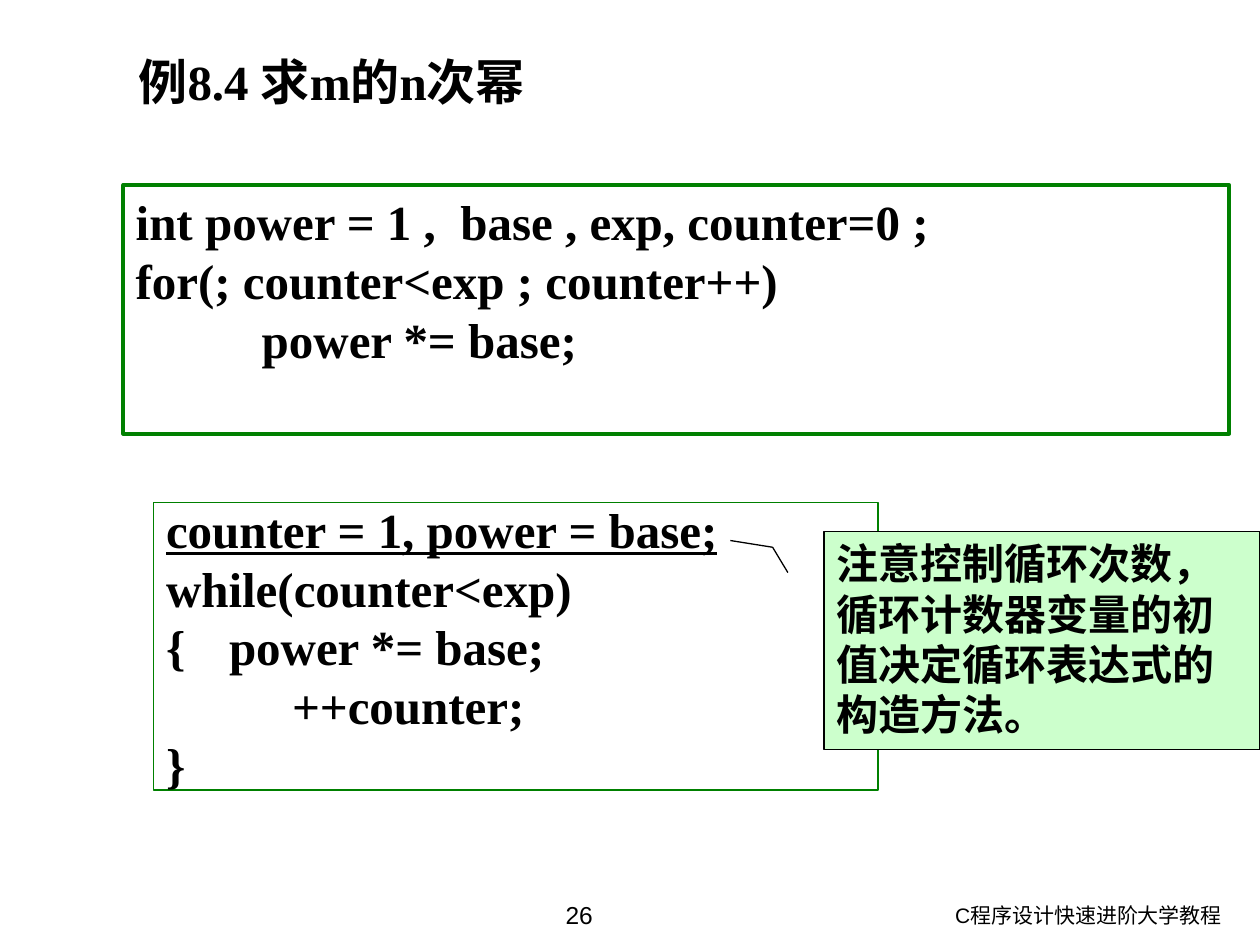
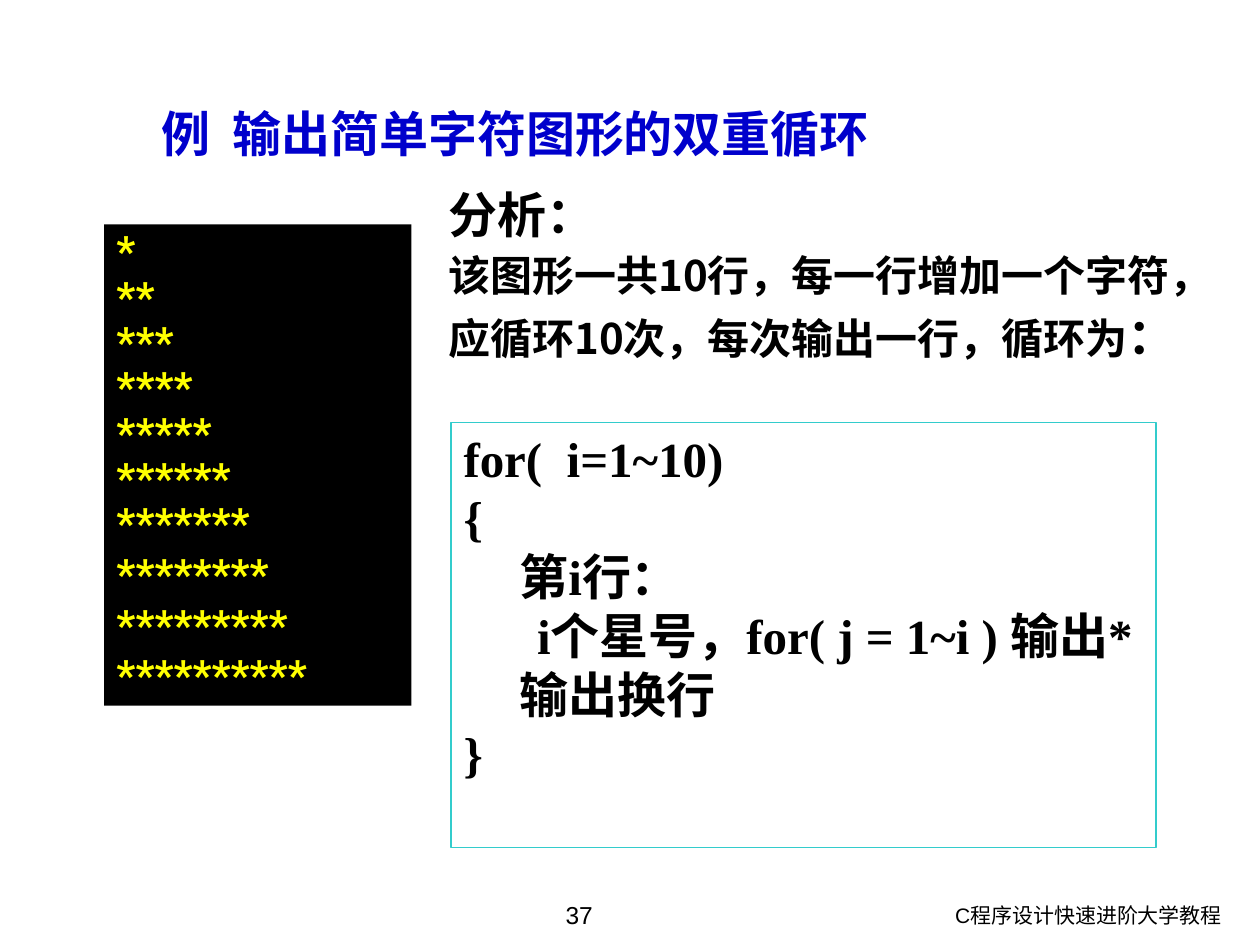
"""Build two lecture slides on loops in C."""
from dataclasses import dataclass

from pptx import Presentation
from pptx import util as u
from pptx.dml import color
from pptx.enum import lang, shapes, text


@dataclass(frozen=True)
class Theme:
    black: str = "000000"
    white: str = "FFFFFF"
    green: str = "008000"
    mint: str = "CCFFCC"
    cyan: str = "33CCCC"
    blue: str = "0000CC"
    yellow: str = "FFFF00"
    code: str = "Times New Roman"
    sans: str = "Arial"
    display: str = "Roboto"
    chinese: str = "Noto Sans CJK SC"
    large: int = 28
    medium: int = 24
    page: int = 14
    footer: int = 12


theme = Theme()
rectangle = shapes.MSO_SHAPE.RECTANGLE
callout = shapes.MSO_SHAPE.LINE_CALLOUT_2


def box(slide, left, top, width, height, kind=None, fill=None, line=None, weight=0.74):
    place = [u.Pt(length) for length in (left, top, width, height)]
    if kind is None:
        shape = slide.shapes.add_textbox(*place)
    else:
        shape = slide.shapes.add_shape(kind, *place)
        shape.shadow.inherit = False
        if fill:
            shape.fill.solid()
            shape.fill.fore_color.rgb = color.RGBColor.from_string(fill)
        else:
            shape.fill.background()
        if line:
            shape.line.color.rgb = color.RGBColor.from_string(line)
            shape.line.width = u.Pt(weight)
        else:
            shape.line.fill.background()
    shape.text_frame.word_wrap = True
    shape.text_frame.vertical_anchor = text.MSO_ANCHOR.TOP
    return shape


def write(frame, words, font=theme.code, size=theme.large, ink=theme.black, bold=True,
          underline=False, align=text.PP_ALIGN.LEFT, before=0, spacing=1.0,
          left=0, first=0, same_line=False):
    if same_line or not frame.text:
        paragraph = frame.paragraphs[-1]
    else:
        paragraph = frame.add_paragraph()
    paragraph.alignment = align
    paragraph.space_before = u.Pt(before)
    paragraph.line_spacing = spacing
    properties = paragraph._p.get_or_add_pPr()
    properties.set("marL", str(u.Pt(left)))
    properties.set("indent", str(u.Pt(first)))
    run = paragraph.add_run()
    run.text = words
    run.font.name = font
    run.font.size = u.Pt(size)
    run.font.bold = bold
    run.font.underline = underline
    run.font.language_id = lang.MSO_LANGUAGE_ID.SIMPLIFIED_CHINESE
    run.font.color.rgb = color.RGBColor.from_string(ink)


deck = Presentation()
deck.slide_width, deck.slide_height = u.Pt(720), u.Pt(540)

headings = [
    ("例8.4 求m的n次幂", "26", (72, 26, 620, 46), theme.code, theme.black),
    ("例  输出简单字符图形的双重循环", "37", (85, 55.5, 440, 41), theme.display, theme.blue),
]
for heading, page, place, font, ink in headings:
    slide = deck.slides.add_slide(deck.slide_layouts[5])
    title = slide.shapes.title
    title.left, title.top, title.width, title.height = [u.Pt(length) for length in place]
    title.text_frame.auto_size = text.MSO_AUTO_SIZE.NONE
    title.text_frame.vertical_anchor = text.MSO_ANCHOR.TOP
    write(title.text_frame, heading, font=font, ink=ink)
    book = box(slide, 473, 512, 232.5, 28)
    write(book.text_frame, "C程序设计快速进阶大学教程", font=theme.sans,
          size=theme.footer, bold=False, align=text.PP_ALIGN.RIGHT)
    number = box(slide, 247, 510.5, 168, 29.5)
    write(number.text_frame, page, font=theme.sans, size=theme.page,
          bold=False, align=text.PP_ALIGN.CENTER)

power, stars = deck.slides

for_loop = box(power, 70.5, 105.8, 632, 142, rectangle, theme.white, theme.green, 2.24)
write(for_loop.text_frame, "int power = 1 ,  base , exp, counter=0 ;")
write(for_loop.text_frame, "for(; counter<exp ; counter++)")
write(for_loop.text_frame, "power *= base;", left=72)

while_loop = box(power, 87.8, 287.2, 414, 164.2, rectangle, line=theme.green)
while_loop.text_frame.vertical_anchor = text.MSO_ANCHOR.MIDDLE
write(while_loop.text_frame, "counter = 1, power = base;", underline=True)
write(while_loop.text_frame, "while(counter<exp)")
write(while_loop.text_frame, "{\tpower *= base;")
write(while_loop.text_frame, "++counter;", left=72)
write(while_loop.text_frame, "}")

hint = box(power, 470.9, 303.8, 249.1, 124.6, callout, theme.mint, theme.black)
for index, value in enumerate((0.188, -0.083, 0.072, -0.118, 0.041, -0.215)):
    hint.adjustments[index] = value
write(hint.text_frame, "注意控制循环次数，循环计数器变量的初值决定循环表达式的构造方法。",
      font=theme.sans, size=theme.medium)

console = box(stars, 59.5, 128.2, 175.7, 275, rectangle, theme.black)
for count in range(1, 11):
    write(console.text_frame, "*" * count, font=theme.display, size=theme.medium,
          ink=theme.yellow, spacing=0.9 if count < 8 else 1.0)

analysis = box(stars, 249.1, 105.8, 470.9, 238.3).text_frame
prose = dict(font=theme.chinese, spacing=0.9)
write(analysis, "分析：", before=7, **prose)
write(analysis, "该图形一共10行，每一行增加一个字符，", size=theme.medium, before=6, **prose)
write(analysis, "应循环10次，每次输出一行，循环为", size=theme.medium, before=7, **prose)
write(analysis, "：", before=7, same_line=True, **prose)

outline = box(stars, 257.8, 241.6, 402.8, 242.7, rectangle, theme.white, theme.cyan)
steps = [("for(  i=1~10)", 0), ("{", 0), ("第i行：", 32),
         ("i个星号，for( j = 1~i ) 输出*", 42), ("输出换行", 32), ("}", 0)]
for step, first in steps:
    write(outline.text_frame, step, first=first)

deck.save("out.pptx")
